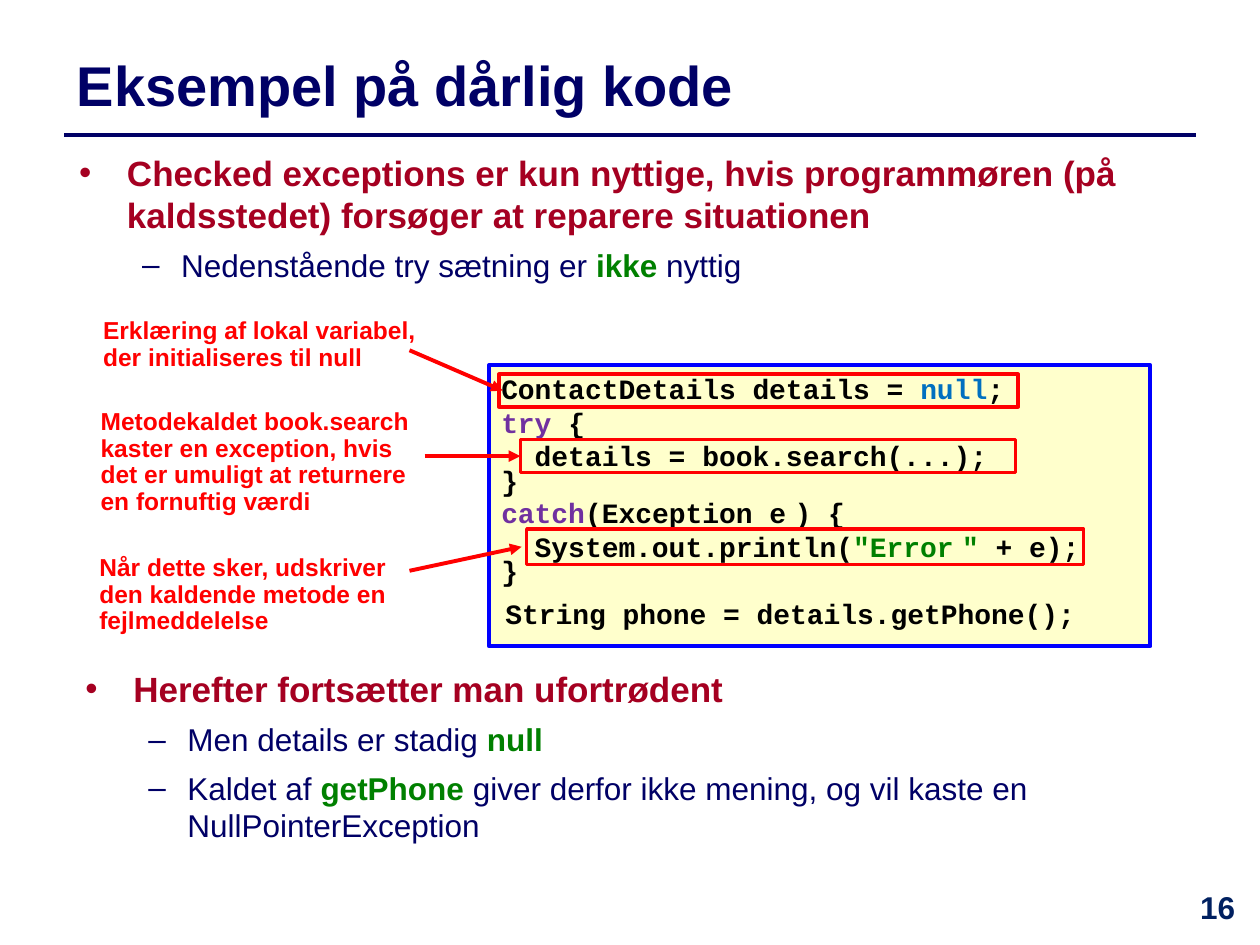
from dataclasses import dataclass

from lxml import etree
from pptx import Presentation
from pptx.dml.color import RGBColor
from pptx.enum.shapes import MSO_CONNECTOR, MSO_SHAPE
from pptx.enum.text import MSO_ANCHOR, MSO_AUTO_SIZE, PP_ALIGN
from pptx.oxml.ns import qn
from pptx.util import Emu, Pt

PX = 9144  # 100 px to the inch
RECTANGLE = MSO_SHAPE.RECTANGLE
STRAIGHT = MSO_CONNECTOR.STRAIGHT
LEFT, CENTER = PP_ALIGN.LEFT, PP_ALIGN.CENTER
TOP, MIDDLE = MSO_ANCHOR.TOP, MSO_ANCHOR.MIDDLE
NO_AUTOFIT = MSO_AUTO_SIZE.NONE
LEFT_SIDE = 1


@dataclass(frozen=True)
class Theme:
    font: str = "Arial"
    mono: str = "Courier New"
    navy: str = "000066"
    number: str = "002060"
    crimson: str = "A50021"
    green: str = "008000"
    red: str = "FF0000"
    black: str = "000000"
    literal: str = "0070C0"
    keyword: str = "7030A0"
    panel: str = "FFFFCC"
    border: str = "0000FF"
    title_size: int = 32
    head_size: int = 20
    body_size: int = 18
    code_size: int = 16
    note_size: int = 14
    narrow_space: int = 8
    thin_space: int = 4


THEME = Theme()


def emu(*lengths):
    return [Emu(length * PX) for length in lengths]


class SlideBuilder:
    def __init__(self, page, theme):
        self.page = page
        self.theme = theme

    def style(self, span, size, color, bold=True, font=None):
        span.font.name = font or self.theme.font
        span.font.size = Pt(size)
        span.font.bold = bold
        span.font.color.rgb = RGBColor.from_string(color)

    def title(self, text, *place):
        box = self.page.shapes.title
        box.left, box.top, box.width, box.height = emu(*place)
        frame = box.text_frame
        frame.text = text
        frame.auto_size = NO_AUTOFIT
        frame.vertical_anchor = MIDDLE
        frame.paragraphs[0].alignment = LEFT
        self.style(frame.paragraphs[0].runs[0], self.theme.title_size, self.theme.navy)

    def text(self, text, place, size, color, align=LEFT, spacing=1.0):
        frame = self.page.shapes.add_textbox(*emu(*place)).text_frame
        frame.word_wrap = True
        frame.text = text
        para = frame.paragraphs[0]
        para.alignment = align
        para.line_spacing = spacing
        for span in para.runs:
            self.style(span, size, color)

    def note(self, text, *place):
        self.text(text, place, self.theme.note_size, self.theme.red, spacing=0.9)

    def bullet(self, para, symbol, margin, indent):
        properties = para._p.get_or_add_pPr()
        properties.set("marL", str(margin * PX))
        properties.set("indent", str(-indent * PX))
        etree.SubElement(properties, qn("a:buFont"), typeface=self.theme.font)
        etree.SubElement(properties, qn("a:buChar"), char=symbol)

    def bullets(self, heading, items, *place):
        """A bold heading with sub-items; each item is (before, emphasis, after)."""
        theme = self.theme
        frame = self.page.shapes.add_textbox(*emu(*place)).text_frame
        frame.word_wrap = True
        frame.text = heading
        para = frame.paragraphs[0]
        self.bullet(para, "•", 38, 38)
        self.style(para.runs[0], theme.head_size, theme.crimson)
        for before, emphasis, after in items:
            para = frame.add_paragraph()
            self.bullet(para, "–", 81, 31)
            para.space_before = Pt(6)
            for text, strong in ((before, False), (emphasis, True), (after, False)):
                if text:
                    span = para.add_run()
                    span.text = text
                    color = theme.green if strong else theme.navy
                    self.style(span, theme.body_size, color, strong)

    def rectangle(self, place, color, weight, fill=None):
        box = self.page.shapes.add_shape(RECTANGLE, *emu(*place))
        box.shadow.inherit = False
        box.line.color.rgb = RGBColor.from_string(color)
        box.line.width = Pt(weight)
        if fill:
            box.fill.solid()
            box.fill.fore_color.rgb = RGBColor.from_string(fill)
        else:
            box.fill.background()
        return box

    def highlight(self, *place):
        return self.rectangle(place, self.theme.red, 2)

    def code(self, lines, *place):
        """Each line is (line spacing, space before, spans); a span is (text, color, size)."""
        theme = self.theme
        frame = self.rectangle(place, theme.border, 2.25, theme.panel).text_frame
        frame.word_wrap = True
        frame.vertical_anchor = TOP
        frame.margin_left, frame.margin_top, frame.margin_right, frame.margin_bottom = emu(10, 5, 10, 10)
        for index, (spacing, before, spans) in enumerate(lines):
            para = frame.add_paragraph() if index else frame.paragraphs[0]
            para.alignment = LEFT
            para.line_spacing = spacing
            para.space_before = Pt(before)
            for text, color, size in spans:
                span = para.add_run()
                span.text = text
                self.style(span, size, color, font=theme.mono)

    def line(self, start, end, color, weight):
        connector = self.page.shapes.add_connector(STRAIGHT, *emu(*start, *end))
        connector.line.color.rgb = RGBColor.from_string(color)
        connector.line.width = Pt(weight)
        etree.SubElement(connector._element.spPr, qn("a:effectLst"))
        return connector

    def arrow(self, start, end):
        connector = self.line(start, end, self.theme.red, 2.25)
        etree.SubElement(connector.line._get_or_add_ln(), qn("a:tailEnd"), type="triangle")
        return connector


def plain(text, color=THEME.black, size=THEME.code_size):
    return text, color, size


CLOSING_BRACE = (0.7, 0, [plain("}")])
NARROW = plain(" ", size=THEME.narrow_space)
CODE = [
    (1.0, 0, [plain("ContactDetails details = "), plain("null", THEME.literal), plain(";")]),
    (1.0, 0, [plain("try ", THEME.keyword), plain("{")]),
    (1.0, 0, [plain("  details = book.search(...);")]),
    CLOSING_BRACE,
    (1.0, 0, [plain("catch", THEME.keyword), plain("(Exception e"), NARROW, plain(") {")]),
    (1.0, 0, [plain("  System.out.println("), plain('"Error', THEME.green), NARROW,
              plain('"', THEME.green), plain(" + e);")]),
    CLOSING_BRACE,
    (1.0, 6, [plain(" ", size=THEME.thin_space), plain("String phone = details.getPhone();")]),
]


def main():
    deck = Presentation()
    deck.slide_width, deck.slide_height = emu(1000, 750)
    page = deck.slides.add_slide(deck.slide_layouts[5])
    builder = SlideBuilder(page, THEME)

    # Title, rule and page number
    builder.line((51, 107), (949, 107), THEME.navy, 2)
    builder.title("Eksempel på dårlig kode", 51, 29, 898, 75)
    builder.text("16", (933, 700, 67, 50), THEME.body_size, THEME.number, CENTER)

    # Bullets above and below the code
    builder.bullets(
        "Checked exceptions er kun nyttige, hvis programmøren (på kaldsstedet) "
        "forsøger at reparere situationen",
        [("Nedenstående try sætning er ", "ikke ", "nyttig")],
        53, 115, 896, 118)
    builder.bullets(
        "Herefter fortsætter man ufortrødent",
        [("Men details er stadig ", "null", ""),
         ("Kaldet af ", "getPhone ",
          "giver derfor ikke mening, og vil kaste en NullPointerException")],
        58, 525, 896, 118)

    # Code panel with highlighted statements
    builder.code(CODE, 388, 290, 525, 223)
    builder.highlight(396, 297, 412, 26)
    search_call = builder.highlight(413, 349, 393, 26)
    builder.highlight(418, 420, 442, 28)

    # Notes and their arrows
    builder.note("Erklæring af lokal variabel, der initialiseres til null", 72, 248, 286, 53)
    builder.arrow((325, 278), (399, 310))
    builder.note("Metodekaldet book.search\vkaster en exception, hvis det er umuligt "
                 "at returnere en fornuftig værdi", 70, 320, 265, 95)
    builder.arrow((337, 362), (413, 362)).end_connect(search_call, LEFT_SIDE)
    builder.note("Når dette sker, udskriver den kaldende metode en fejlmeddelelse",
                 69, 436, 252, 74)
    builder.arrow((325, 453), (414, 434))

    deck.save("out.pptx")


if __name__ == "__main__":
    main()
